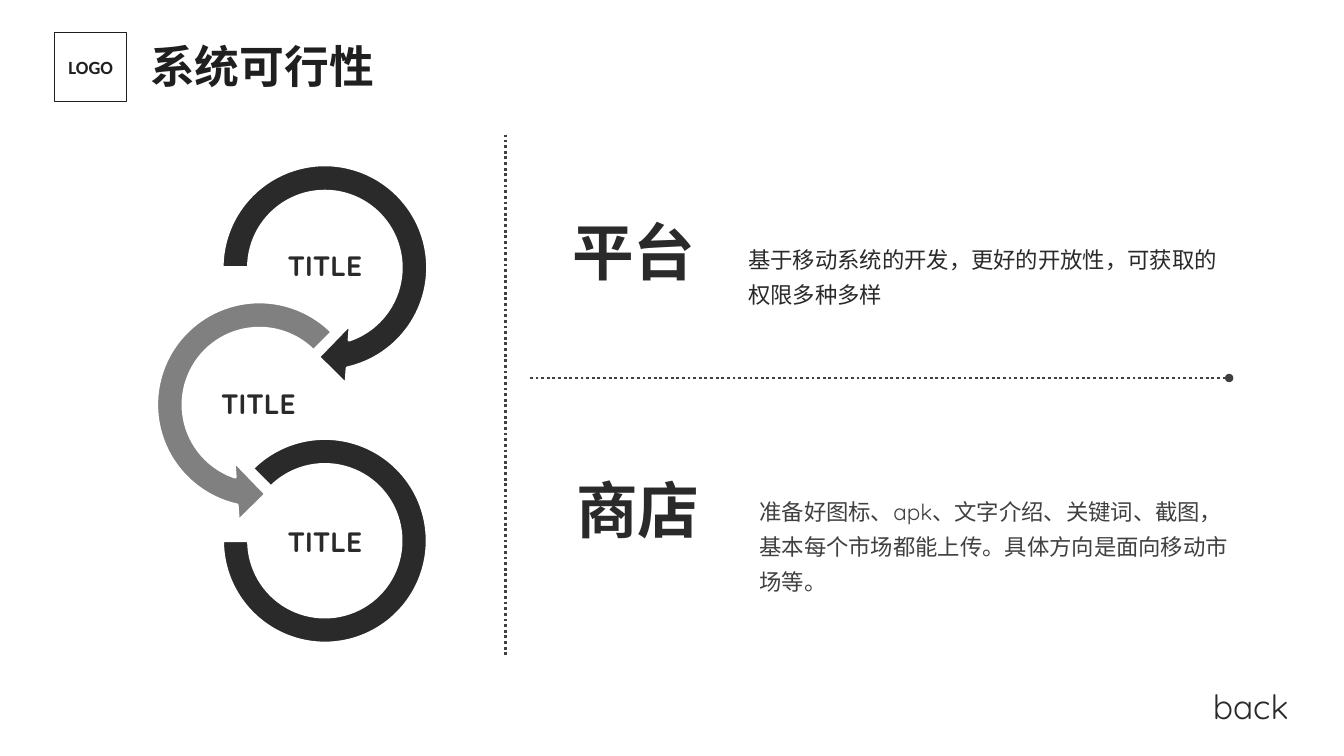
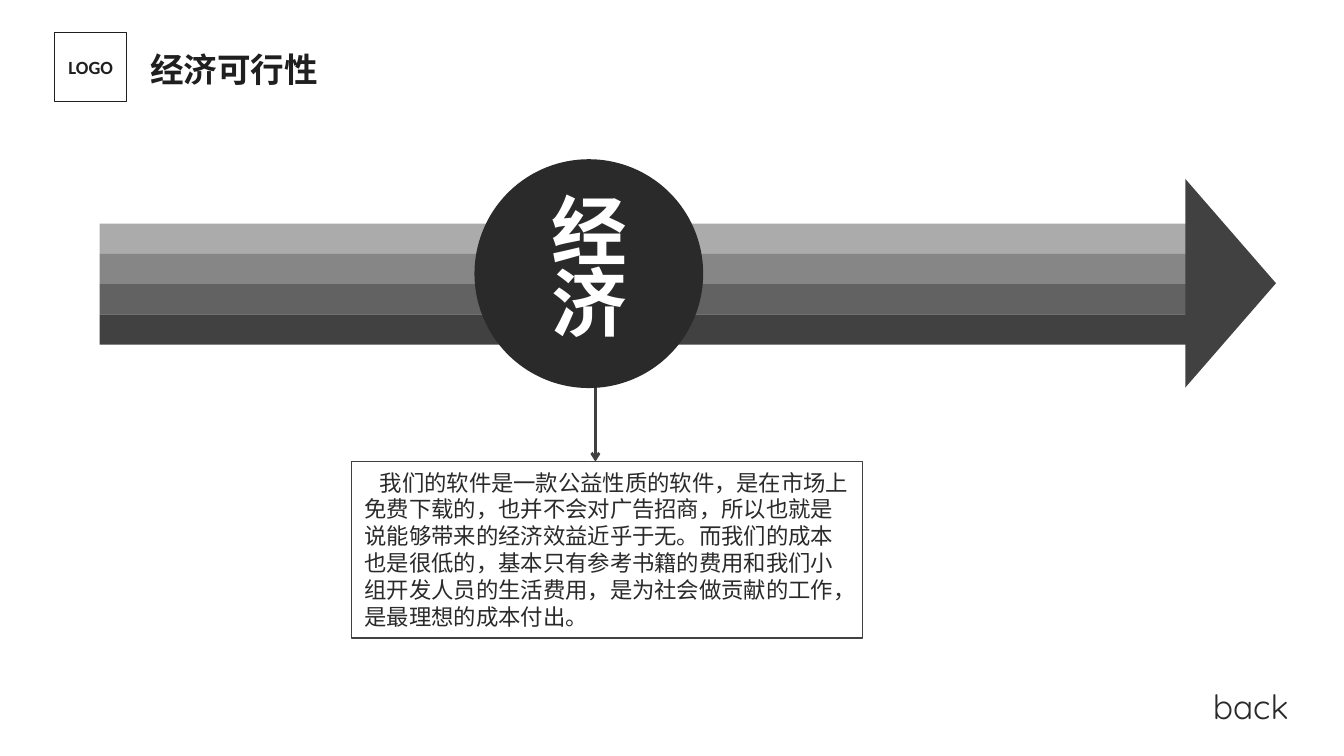
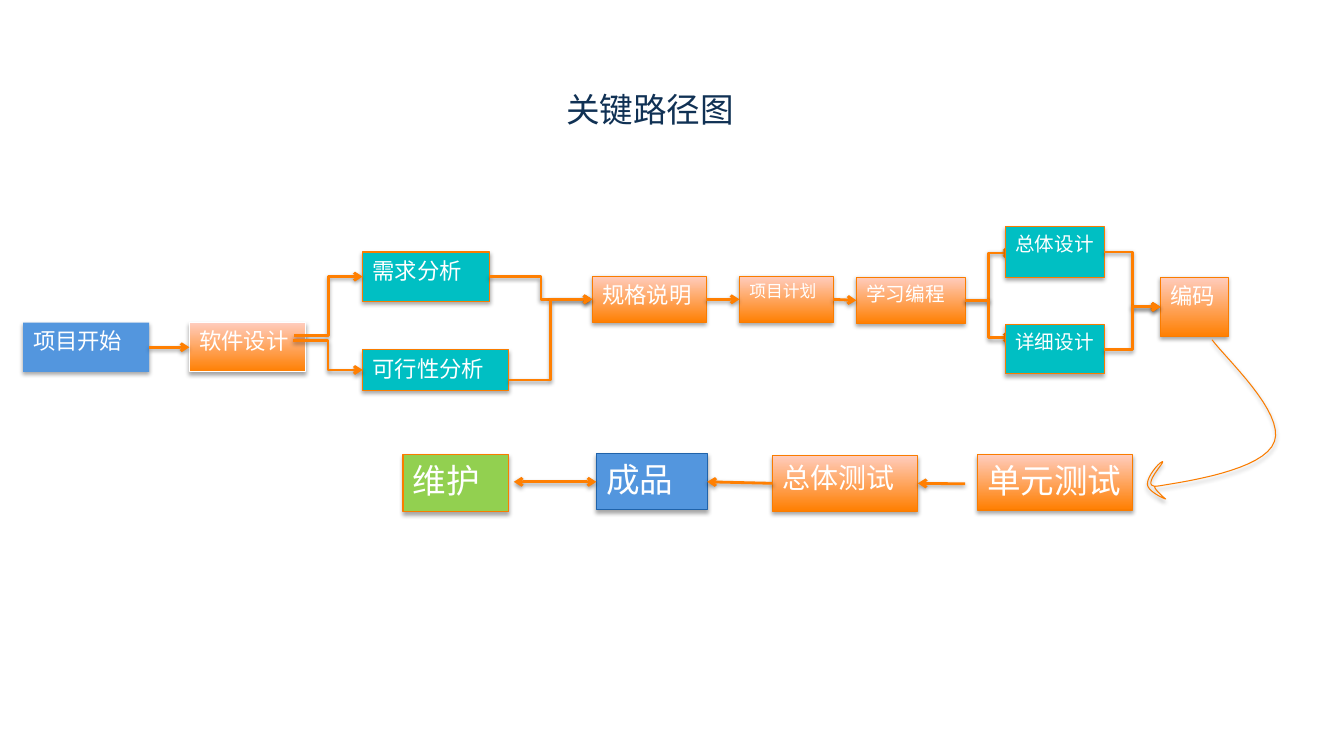
from lxml import etree
from pptx import Presentation
from pptx.dml.color import RGBColor
from pptx.enum.dml import MSO_LINE
from pptx.enum.shapes import MSO_CONNECTOR, MSO_SHAPE
from pptx.enum.text import MSO_ANCHOR, MSO_AUTO_SIZE, PP_ALIGN
from pptx.oxml.ns import qn
from pptx.util import Inches, Pt

LEFT, CENTER = PP_ALIGN.LEFT, PP_ALIGN.CENTER
TOP, MIDDLE = MSO_ANCHOR.TOP, MSO_ANCHOR.MIDDLE
GROW = MSO_AUTO_SIZE.SHAPE_TO_FIT_TEXT
STRAIGHT, ELBOW = MSO_CONNECTOR.STRAIGHT, MSO_CONNECTOR.ELBOW
DOTTED = MSO_LINE.ROUND_DOT
RECT, OVAL, TRIANGLE = MSO_SHAPE.RECTANGLE, MSO_SHAPE.OVAL, MSO_SHAPE.ISOSCELES_TRIANGLE
ARC_RIGHT, ARC_LEFT = MSO_SHAPE.CIRCULAR_ARROW, MSO_SHAPE.LEFT_CIRCULAR_ARROW
ARC_BLOCK = MSO_SHAPE.BLOCK_ARC
SITE_LEFT, SITE_RIGHT = 1, 3

BODY_FONT, HEAD_FONT, CJK_FONT = "Quicksand", "Calibri", "Noto Sans CJK SC"
WHITE, BLACK, INK, DARK, GRAY = "FFFFFF", "1F1F1F", "2A2A2A", "404040", "808080"
ARROW_DARK = "414141"
STRIPES = ("ABABAB", "868686", "626262", ARROW_DARK)
NAVY, BLUE, BLUE_EDGE, TEAL, GREEN = "103154", "5396DE", "2063AA", "00BFC3", "92D050"
ORANGE, ORANGE_EDGE = "FF7F01", "FA7C00"
ORANGE_FADE = (ORANGE, "FFCCBD")
WIDE_INSETS, TEXT_INSETS, THIN_INSETS = (0.13, 0.07), (0.1, 0.05), (0.01, 0.01)
SHAPE_SHADOW, LINE_SHADOW = (35, 3.1, 1.8), (38, 3.1, 1.6)


def rgb(color):
    """Turn a hex string into a colour."""
    return RGBColor.from_string(color)


def set_effects(item, shadow=None):
    """Replace the inherited effects by none or by one soft downward shadow."""
    properties = item._element.spPr
    for old in properties.findall(qn("a:effectLst")):
        properties.remove(old)
    effects = etree.SubElement(properties, qn("a:effectLst"))
    if shadow:
        alpha, blur, distance = shadow
        outer = etree.SubElement(effects, qn("a:outerShdw"), blurRad=str(Pt(blur)),
                                 dist=str(Pt(distance)), dir="5400000", rotWithShape="0")
        black = etree.SubElement(outer, qn("a:srgbClr"), val="000000")
        etree.SubElement(black, qn("a:alpha"), val=str(alpha * 1000))


def write(item, text, size, color=INK, font=BODY_FONT, bold=False, align=LEFT,
          anchor=TOP, insets=TEXT_INSETS, spacing=None, wrap=True, grow=False):
    """Put one formatted paragraph into a shape and return it."""
    frame = item.text_frame
    frame.word_wrap = wrap
    frame.vertical_anchor = anchor
    frame.margin_left = frame.margin_right = Inches(insets[0])
    frame.margin_top = frame.margin_bottom = Inches(insets[1])
    if grow:
        frame.auto_size = GROW
    frame.text = text
    paragraph = frame.paragraphs[0]
    paragraph.alignment = align
    if spacing:
        paragraph.line_spacing = spacing
    for run in paragraph.runs:
        run.font.size, run.font.bold, run.font.name = Pt(size), bold, font
        run.font.color.rgb = rgb(color)
        etree.SubElement(run.font._element, qn("a:ea"), typeface=CJK_FONT)
    return paragraph


def add_text(slide, box, text, size, **style):
    """Add a text box."""
    label = slide.shapes.add_textbox(*map(Inches, box))
    write(label, text, size, **style)


def add_shape(slide, kind, box, fill=None, edge=None, width=0.75, adjust=(), shadow=None):
    """Add a preset shape with a plain, two-colour or empty fill."""
    shape = slide.shapes.add_shape(kind, *map(Inches, box))
    for index, value in enumerate(adjust):
        shape.adjustments[index] = value
    paint(shape, fill, edge, width, shadow)
    return shape


def paint(shape, fill, edge, width, shadow):
    """Set the fill, outline and shadow of a shape."""
    if fill is None:
        shape.fill.background()
    elif isinstance(fill, tuple):
        shape.fill.gradient()
        shape.fill.gradient_angle = 90
        for stop, color in zip(shape.fill.gradient_stops, fill):
            stop.color.rgb = rgb(color)
    else:
        shape.fill.solid()
        shape.fill.fore_color.rgb = rgb(fill)
    if edge:
        shape.line.color.rgb = rgb(edge)
        shape.line.width = Pt(width)
    else:
        shape.line.fill.background()
    set_effects(shape, shadow)


def add_line(slide, start, end, color=DARK, kind=STRAIGHT, dash=None,
             head=None, tail=None, shadow=None):
    """Add a 2 pt connector between two points."""
    line = slide.shapes.add_connector(kind, *map(Inches, (*start, *end)))
    line.line.color.rgb = rgb(color)
    line.line.width = Pt(2)
    if dash:
        line.line.dash_style = dash
    outline = line.line._get_or_add_ln()
    for tag, ending in (("a:headEnd", head), ("a:tailEnd", tail)):
        if ending:
            etree.SubElement(outline, qn(tag), type=ending)
    set_effects(line, shadow)
    return line


def add_frame(slide, title, title_box, size, font):
    """Add the badge, title and back label shared by the feasibility slides."""
    add_text(slide, title_box, title, size, color=BLACK, font=font, bold=True,
             anchor=MIDDLE, insets=WIDE_INSETS, spacing=1.1, grow=True)
    badge = add_shape(slide, RECT, (0.54, 0.32, 0.72, 0.69), edge=BLACK)
    write(badge, "LOGO", 13.3, color=BLACK, font=HEAD_FONT, bold=True, align=CENTER,
          anchor=MIDDLE, insets=WIDE_INSETS)
    add_text(slide, (11.94, 6.76, 1.4, 0.5), "back", 24, grow=True)


def add_arc_chain(slide, left, top):
    """Add three interlocking arcs, each with its label."""
    arcs = (
        (ARC_RIGHT, (0.65, 0, 2.37), INK, (0.11, 11.423, 45, 108, 0.125), (1.18, 0.85)),
        (ARC_LEFT, (0, 1.36, 2.37), GRAY, (0.11, 11.423, 63, 189, 0.125), (0.52, 2.22)),
        (ARC_BLOCK, (0.82, 2.88, 2.03), INK, (135, 108, 0.127), (1.18, 3.59)),
    )
    for kind, (x, y, side), fill, adjust, (label_x, label_y) in arcs:
        add_shape(slide, kind, (left + x, top + y, side, side), fill, WHITE, 2, adjust)
        add_text(slide, (left + label_x, top + label_y, 1.31, 0.66), "TITLE", 20, bold=True,
                 align=CENTER, anchor=MIDDLE, insets=THIN_INSETS, spacing=0.9)


def add_topic(slide, left, top, heading, detail, detail_offset, height, color):
    """Add a large heading with its detail text to the right."""
    add_text(slide, (left, top, 1.44, 0.84), heading, 44, font=HEAD_FONT, bold=True,
             wrap=False, grow=True)
    x, y = detail_offset
    add_text(slide, (left + x, top + y, 4.87, height), detail, 16, color=color,
             spacing=1.3, grow=True)


def build_system_slide(slide):
    """Build the system feasibility slide."""
    add_frame(slide, "系统可行性", (1.36, 0.28, 3.15, 0.69), 32, CJK_FONT)
    add_arc_chain(slide, 1.39, 1.47)
    add_line(slide, (12.2, 3.75), (5.24, 3.75), dash=DOTTED, head="oval")
    add_line(slide, (5.02, 6.5), (5.02, 1.34), dash=DOTTED)
    add_topic(slide, 5.58, 2.07, "平台",
              "基于移动系统的开发，更好的开放性，可获取的权限多种多样",
              (1.75, 0.24), 0.8, INK)
    add_topic(slide, 5.62, 4.63, "商店",
              "准备好图标、apk、文字介绍、关键词、截图，基本每个市场都能上传。"
              "具体方向是面向移动市场等。",
              (1.82, 0.18), 1.15, DARK)


def add_striped_arrow(slide, left, top):
    """Add the striped arrow with its round badge."""
    stripe_height = 0.3
    for row, color in enumerate(STRIPES):
        y = top + 0.64 + row * stripe_height
        add_shape(slide, RECT, (left, y, 10.8, stripe_height), color)
    tip = add_shape(slide, TRIANGLE, (left + 10.19, top + 0.78, 2.07, 0.9), ARROW_DARK)
    tip.rotation = 90
    badge = add_shape(slide, OVAL, (left + 3.72, top, 2.27, 2.27), INK)
    write(badge, "经济", 54, color=WHITE, bold=True, align=CENTER, anchor=MIDDLE,
          insets=WIDE_INSETS, spacing=0.8)


def add_explanation(slide, left, top):
    """Add the outlined explanation with the arrow that leads into it."""
    add_line(slide, (left + 2.42, top - 0.73), (left + 2.42, top), tail="arrow")
    panel = add_shape(slide, RECT, (left, top, 5.07, 1.75), edge=ARROW_DARK, width=1)
    paragraph = write(
        panel,
        "我们的软件是一款公益性质的软件，是在市场上免费下载的，也并不会对广告招商，"
        "所以也就是说能够带来的经济效益近乎于无。而我们的成本也是很低的，"
        "基本只有参考书籍的费用和我们小组开发人员的生活费用，是为社会做贡献的工作，"
        "是最理想的成本付出。",
        16, insets=WIDE_INSETS, grow=True)
    paragraph._p.get_or_add_pPr().set("indent", str(Inches(0.15)))


def build_economy_slide(slide):
    """Build the economic feasibility slide."""
    add_frame(slide, "经济可行性", (1.36, 0.39, 3.15, 0.55), 24, HEAD_FONT)
    add_striped_arrow(slide, 0.99, 1.58)
    add_explanation(slide, 3.49, 4.58)


def bezier(start, control_a, control_b, end, steps=16):
    """Return the points along a cubic curve, without its start."""
    points = []
    for step in range(1, steps + 1):
        t = step / steps
        weights = ((1 - t) ** 3, 3 * t * (1 - t) ** 2, 3 * t ** 2 * (1 - t), t ** 3)
        points.append(tuple(
            sum(weight * value for weight, value in zip(weights, axis))
            for axis in zip(start, control_a, control_b, end)))
    return points


def add_return_curve(slide, left, top):
    """Add the hand-drawn arrow from coding down to unit testing."""
    start = pen = (left, top)
    curves = (
        ((0.14, 0.19), (0.72, 0.72), (0.62, 1.01)),
        ((0.52, 1.3), (-0.29, 1.41), (-0.52, 1.45)),
        ((-0.74, 1.49), (-0.47, 1.22), (-0.49, 1.21)),
        ((-0.52, 1.21), (-0.65, 1.36), (-0.64, 1.44)),
        ((-0.63, 1.51), (-0.47, 1.58), (-0.46, 1.58)),
        ((-0.45, 1.59), (-0.56, 1.5), (-0.57, 1.46)),
    )
    points = []
    for curve in curves:
        points += bezier(pen, *((left + x, top + y) for x, y in curve))
        pen = points[-1]
    builder = slide.shapes.build_freeform(*map(Inches, start))
    builder.add_line_segments([(Inches(x), Inches(y)) for x, y in points], close=False)
    paint(builder.convert_to_shape(), None, ORANGE_EDGE, 0.75, SHAPE_SHADOW)


def add_critical_path(slide, left, top):
    """Add the steps of the critical path and the arrows between them."""
    steps = {}

    def place_steps(rows):
        """Add one box for each step."""
        for name, (x, y, width, height), size, fill, edge in rows:
            step = add_shape(slide, RECT, (left + x, top + y, width, height), fill, edge,
                             shadow=SHAPE_SHADOW)
            write(step, name, size, color=WHITE)
            steps[name] = step

    def link(start, end, kind=STRAIGHT, head=None, sites=(SITE_RIGHT, SITE_LEFT)):
        """Join two ends, each a step name or a point."""
        points = [(left, top) if isinstance(stop, str) else (left + stop[0], top + stop[1])
                  for stop in (start, end)]
        line = add_line(slide, *points, ORANGE, kind, head=head, tail="arrow",
                        shadow=LINE_SHADOW)
        if isinstance(start, str):
            line.begin_connect(steps[start], sites[0])
        if isinstance(end, str):
            line.end_connect(steps[end], sites[1])

    place_steps((
        ("项目开始", (0, 0.95, 1.25, 0.49), 16, BLUE, None),
        ("软件设计", (1.65, 0.95, 1.15, 0.49), 16, ORANGE_FADE, WHITE),
        ("需求分析", (3.37, 0.25, 1.26, 0.49), 16, TEAL, ORANGE_EDGE),
        ("可行性分析", (3.37, 1.22, 1.45, 0.4), 16, TEAL, ORANGE_EDGE),
        ("规格说明", (5.65, 0.49, 1.13, 0.46), 16, ORANGE_FADE, ORANGE_EDGE),
        ("项目计划", (7.11, 0.49, 0.93, 0.46), 12, ORANGE_FADE, ORANGE_EDGE),
        ("学习编程", (8.27, 0.5, 1.08, 0.46), 14, ORANGE_FADE, ORANGE_EDGE),
    ))
    for fork_end in ((9.82, 0.26), (9.82, 1.1)):
        link("学习编程", fork_end, ELBOW)
    place_steps((
        ("总体设计", (9.75, 0, 0.98, 0.5), 14, TEAL, ORANGE_EDGE),
        ("详细设计", (9.75, 0.97, 0.98, 0.49), 14, TEAL, ORANGE_EDGE),
        ("编码", (11.29, 0.5, 0.67, 0.59), 16, ORANGE_FADE, ORANGE_EDGE),
        ("单元测试", (9.47, 2.26, 1.54, 0.55), 24, ORANGE_FADE, ORANGE_EDGE),
        ("总体测试", (7.44, 2.27, 1.44, 0.55), 20, ORANGE_FADE, ORANGE_EDGE),
        ("成品", (5.69, 2.25, 1.1, 0.56), 24, BLUE, BLUE_EDGE),
        ("维护", (3.77, 2.26, 1.05, 0.57), 24, GREEN, ORANGE_EDGE),
    ))
    for start, end in (("项目开始", "软件设计"), ("规格说明", "项目计划"),
                       ("项目计划", "学习编程")):
        link(start, end)
    for start, end in (((2.69, 1.08), "需求分析"), ((2.68, 1.13), "可行性分析"),
                       ("需求分析", "规格说明"), ((4.82, 1.52), "规格说明"),
                       ("总体设计", "编码"), ("详细设计", "编码")):
        link(start, end, ELBOW)
    for start, end, head in (((9.35, 2.55), "总体测试", None), ("总体测试", "成品", None),
                             ("成品", (4.87, 2.53), "arrow")):
        link(start, end, head=head, sites=(SITE_LEFT, SITE_RIGHT))
    add_return_curve(slide, left + 11.8, top + 1.12)


def build_path_slide(slide):
    """Build the critical path slide."""
    add_text(slide, (5.52, 0.83, 1.87, 0.5), "关键路径图", 24, color=NAVY,
             wrap=False, grow=True)
    add_critical_path(slide, 0.23, 2.25)


def main():
    """Build the deck and save it."""
    deck = Presentation()
    deck.slide_width, deck.slide_height = Inches(13.34), Inches(7.5)
    blank = deck.slide_layouts[6]
    for build in (build_system_slide, build_economy_slide, build_path_slide):
        build(deck.slides.add_slide(blank))
    deck.save("out.pptx")


if __name__ == "__main__":
    main()
